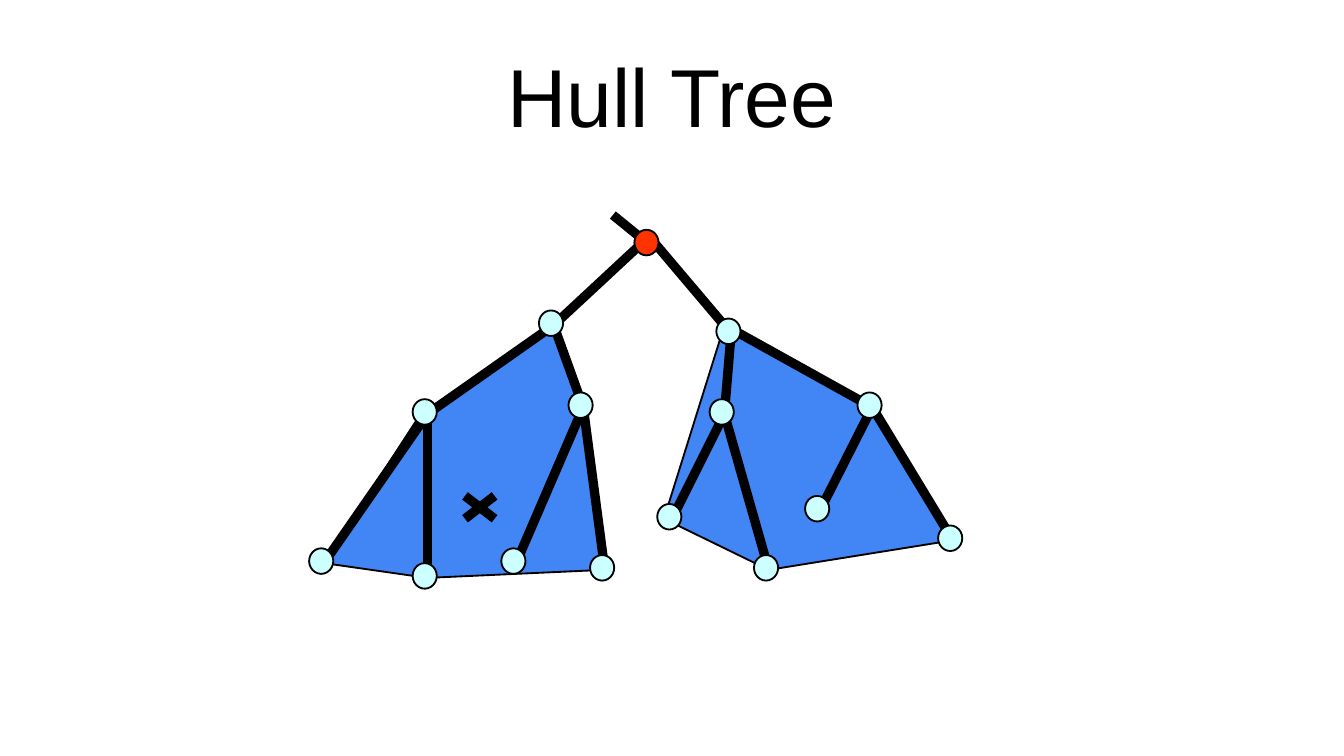
from pptx import Presentation
from pptx.dml.color import RGBColor
from pptx.enum.shapes import MSO_CONNECTOR, MSO_SHAPE
from pptx.enum.text import MSO_ANCHOR, PP_ALIGN
from pptx.oxml.ns import qn
from pptx.util import Inches, Pt
from lxml import etree

STRAIGHT = MSO_CONNECTOR.STRAIGHT
OVAL = MSO_SHAPE.OVAL
TOP = MSO_ANCHOR.TOP
CENTER = PP_ALIGN.CENTER

THEME = {
    "ink": RGBColor(0x00, 0x00, 0x00),
    "hull": RGBColor(0x42, 0x85, 0xF4),
    "node": RGBColor(0xCC, 0xFF, 0xFF),
    "root": RGBColor(0xFF, 0x33, 0x00),
    "font": "Arial",
    "title": Pt(44),
    "thin": Pt(1),
    "thick": Pt(5),
}

TITLE = "Hull Tree"
NODES = {
    "root": (4.83, 1.82),
    "right b": (6.49, 3.03),
    "right a": (5.39, 3.08),
    "left b": (4.34, 3.03),
    "left a": (3.18, 3.08),
    "leaf 1": (2.41, 4.19),
    "leaf 3": (3.84, 4.19),
    "leaf 2": (3.18, 4.3),
    "leaf 4": (4.5, 4.24),
    "leaf 5": (5, 3.86),
    "leaf 6": (5.72, 4.24),
    "leaf 7": (6.1, 3.8),
    "leaf 8": (7.09, 4.02),
    "left": (4.12, 2.42),
    "right": (5.44, 2.48),
}
JOINTS = {"fork": (4.83, 1.76), "right arm": (5.5, 2.48)}
EDGES = [
    ("left", "fork"), ("right", "fork"),
    ("right b", "right arm"), ("right a", "right"),
    ("left b", "left"), ("left a", "left"),
    ("leaf 1", "left a"), ("leaf 2", "left a"),
    ("leaf 4", "left b"), ("leaf 3", "left b"),
    ("leaf 6", "right a"), ("leaf 5", "right a"),
    ("leaf 7", "right b"), ("leaf 8", "right b"),
]
HULLS = [
    [(4.94, 3.86), "leaf 6", "leaf 8", "right b", (5.39, 2.42)],
    ["leaf 1", "leaf 2", "leaf 4", "left b", "left", (3.13, 3.08)],
]
STEM = ((4.83, 1.82), (4.56, 1.6))
CROSS = [((3.46, 3.86), (3.68, 3.69)), ((3.68, 3.86), (3.46, 3.69))]
SIZE = (0.18, 0.19)
SHIFT = 0.11
WIDTH = Inches(10)
SPOTS = NODES | JOINTS


def spot(key):
    x, y = SPOTS[key] if isinstance(key, str) else key
    return Inches(x), Inches(y)


def paint(shape, fill):
    shape.shadow.inherit = False
    shape.fill.solid()
    shape.fill.fore_color.rgb = fill
    shape.line.color.rgb = THEME["ink"]
    shape.line.width = THEME["thin"]


def add_edge(slide, start, end):
    edge = slide.shapes.add_connector(STRAIGHT, *spot(start), *spot(end))
    edge.line.color.rgb = THEME["ink"]
    edge.line.width = THEME["thick"]
    etree.SubElement(edge._element.spPr, qn("a:effectLst"))


def add_hull(slide, keys):
    first, *rest = [spot(key) for key in keys]
    pen = slide.shapes.build_freeform(*first)
    pen.add_line_segments(rest, close=True)
    paint(pen.convert_to_shape(), THEME["hull"])


def add_node(slide, name):
    x, y = NODES[name]
    box = [Inches(n) for n in (x - SHIFT, y - SHIFT, *SIZE)]
    node = slide.shapes.add_shape(OVAL, *box)
    paint(node, THEME["root" if name == "root" else "node"])


def add_title(slide):
    box = slide.shapes.add_textbox(*map(Inches, (0.08, 0.24, 9.84, 1.22)))
    frame = box.text_frame
    frame.word_wrap = True
    frame.vertical_anchor = TOP
    frame.margin_left = frame.margin_right = Inches(0.1)
    frame.margin_top = frame.margin_bottom = Inches(0.1)
    frame.text = TITLE
    line = frame.paragraphs[0]
    line.alignment = CENTER
    font = line.runs[0].font
    font.name = THEME["font"]
    font.size = THEME["title"]
    font.color.rgb = THEME["ink"]


def main():
    deck = Presentation()
    deck.slide_width, deck.slide_height = WIDTH, WIDTH * 9 // 16
    slide = deck.slides.add_slide(deck.slide_layouts[6])
    add_edge(slide, *STEM)
    for keys in HULLS:
        add_hull(slide, keys)
    for ends in EDGES:
        add_edge(slide, *ends)
    for name in NODES:
        add_node(slide, name)
    for ends in CROSS:
        add_edge(slide, *ends)
    add_title(slide)
    deck.save("out.pptx")


if __name__ == "__main__":
    main()
